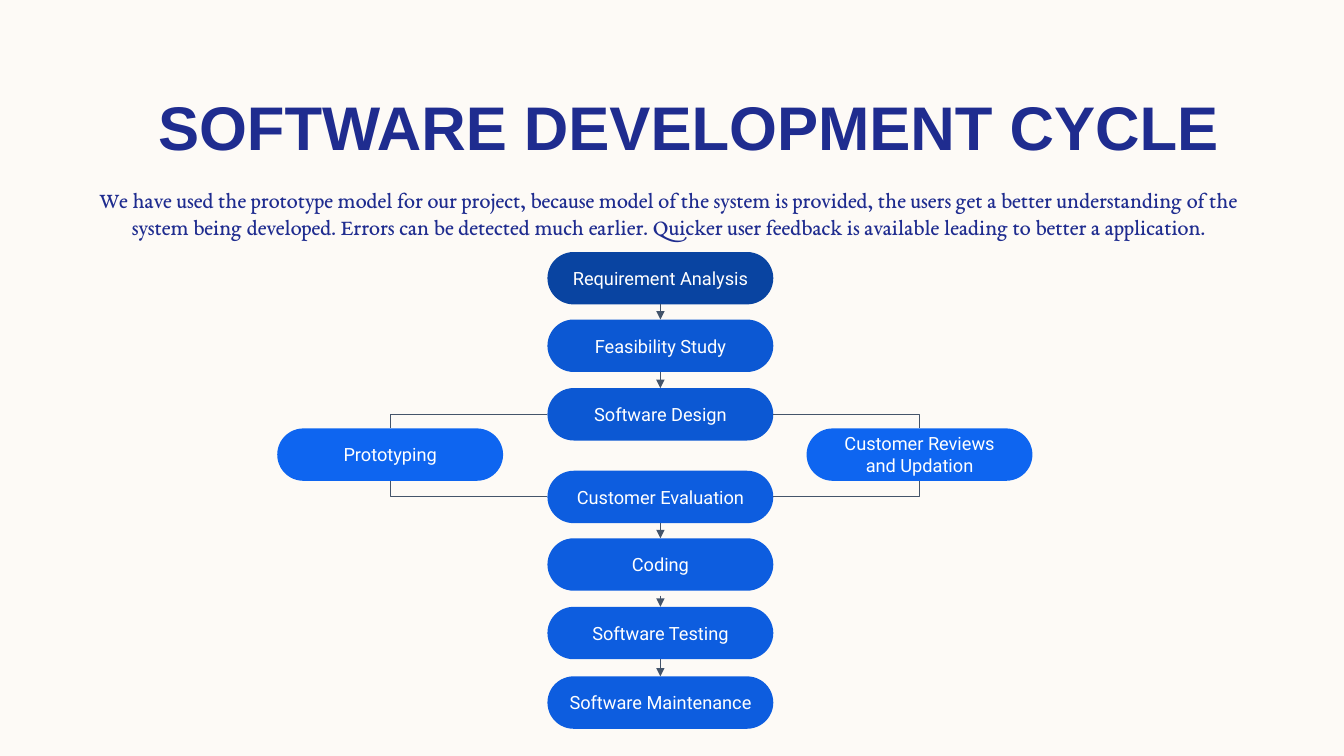
from lxml import etree
from pptx import Presentation
from pptx.dml.color import RGBColor
from pptx.enum import shapes, text
from pptx.oxml.ns import qn
from pptx.util import Inches, Pt

# Content
TITLE = "SOFTWARE DEVELOPMENT CYCLE"
SUMMARY = (
    "We have used the prototype model for our project, because model of the system "
    "is provided, the users get a better understanding of the system being developed. "
    "Errors can be detected much earlier. Quicker user feedback is available leading "
    "to better a application."
)
COLORS = {
    "paper": "FDFAF6", "ink": "1F2C8F", "white": "FFFFFF", "line": "44546A",
    "start": "0944A1", "plan": "0C58D3", "build": "0D5DDF", "loop": "0E65F0",
}
# Main column: label, top, colour
STEPS = [
    ("Requirement Analysis", 2.5, "start"),
    ("Feasibility Study", 3.17, "plan"),
    ("Software Design", 3.85, "plan"),
    ("Customer Evaluation", 4.67, "build"),
    ("Coding", 5.34, "build"),
    ("Software Testing", 6.02, "build"),
    ("Software Maintenance", 6.71, "build"),
]
# Feedback loop: label, left, side of the main column it joins
LOOP = [("Prototyping", 2.75, 1), ("Customer Reviews and Updation", 8, 3)]
ARROWS = [
    ("Requirement Analysis", "Feasibility Study"),
    ("Feasibility Study", "Software Design"),
    ("Customer Evaluation", "Coding"),
    ("Coding", "Software Testing"),
    ("Software Testing", "Software Maintenance"),
]
STEP_LEFT, LOOP_TOP = 5.43, 4.25
PILL_WIDTH, PILL_HEIGHT = 2.24, 0.52
CODING_GAP = 0.05
TOP, BOTTOM = 0, 2

deck = Presentation()
deck.slide_width, deck.slide_height = Inches(13.33), Inches(7.5)
page = deck.slides.add_slide(deck.slide_layouts[6])


def color(name):
    return RGBColor.from_string(COLORS[name])


def write(box, words, font, size, ink, inset, spacing=1.0, bold=False):
    frame = box.text_frame
    frame.word_wrap = True
    frame.margin_left = frame.margin_right = Inches(inset[0])
    frame.margin_top = frame.margin_bottom = Inches(inset[1])
    frame.text = words
    para = frame.paragraphs[0]
    para.alignment = text.PP_ALIGN.CENTER
    para.line_spacing = spacing
    span = para.runs[0]
    span.font.name, span.font.size, span.font.bold = font, Pt(size), bold
    span.font.color.rgb = color(ink)
    return frame


def add_pill(words, left, top, fill):
    pill = page.shapes.add_shape(
        shapes.MSO_SHAPE.ROUNDED_RECTANGLE,
        Inches(left), Inches(top), Inches(PILL_WIDTH), Inches(PILL_HEIGHT))
    pill.adjustments[0] = 0.5
    pill.shadow.inherit = False
    pill.fill.solid()
    pill.fill.fore_color.rgb = color(fill)
    pill.line.fill.background()
    frame = write(pill, words, "Roboto", 13, "white", (0.13, 0.13))
    frame.vertical_anchor = text.MSO_ANCHOR.MIDDLE
    return pill


def join(kind, start, start_side, end, end_side):
    link = page.shapes.add_connector(kind, 0, 0, 0, 0)
    link.begin_connect(start, start_side)
    link.end_connect(end, end_side)
    link.line.color.rgb = color("line")
    link.line.width = Pt(0.75)
    etree.SubElement(link._element.spPr, qn("a:effectLst"))
    return link


# Background and heading
page.background.fill.solid()
page.background.fill.fore_color.rgb = color("paper")
title = page.shapes.add_textbox(Inches(1), Inches(0.78), Inches(11.67), Inches(1.02))
frame = write(title, TITLE, "Arial", 44, "ink", (0.1, 0.05), 0.9, True)
frame.vertical_anchor = text.MSO_ANCHOR.MIDDLE
summary = page.shapes.add_textbox(Inches(0.78), Inches(1.8), Inches(11.71), Inches(0.53))
write(summary, SUMMARY, "EB Garamond", 16, "ink", (0.1, 0.05))

# Main column
steps = {words: add_pill(words, STEP_LEFT, top, fill) for words, top, fill in STEPS}

# Arrows down the column
for start, end in ARROWS:
    arrow = join(shapes.MSO_CONNECTOR.STRAIGHT, steps[start], BOTTOM, steps[end], TOP)
    if start == "Coding":
        arrow.begin_x = steps[start].left + steps[start].width // 2
        arrow.begin_y = steps[start].top + steps[start].height + Inches(CODING_GAP)
        arrow._element.nvCxnSpPr.cNvCxnSpPr._remove_stCxn()
    etree.SubElement(arrow.line._get_or_add_ln(), qn("a:tailEnd"), type="triangle")

# Feedback loop, joined by one-bend connectors
for words, left, side in LOOP:
    pill = add_pill(words, left, LOOP_TOP, "loop")
    for step, end_side in (("Software Design", TOP), ("Customer Evaluation", BOTTOM)):
        elbow = join(shapes.MSO_CONNECTOR.ELBOW, steps[step], side, pill, end_side)
        elbow._element.spPr.find(qn("a:prstGeom")).set("prst", "bentConnector2")

deck.save("out.pptx")
